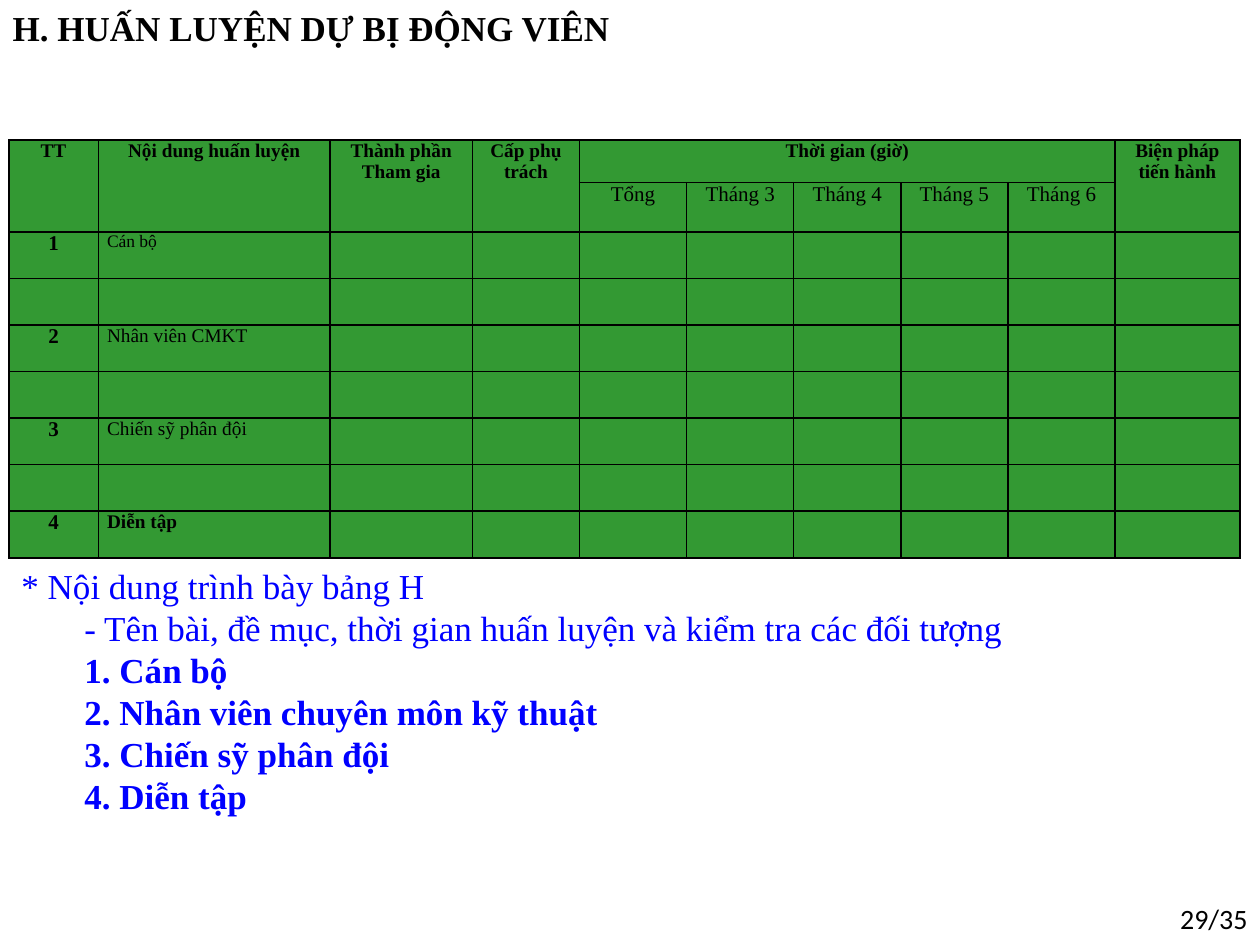
from dataclasses import dataclass
from pptx import Presentation, util as u
from pptx.dml.color import RGBColor
from pptx.enum import text
from pptx.oxml import parse_xml
from pptx.oxml.ns import nsdecls

MID = text.PP_ALIGN.CENTER
LEFT = text.PP_ALIGN.LEFT
RIGHT = text.PP_ALIGN.RIGHT


@dataclass
class Theme:
    serif: str = "Times New Roman"
    sans: str = "Calibri"
    ink: str = "000000"
    blue: str = "0000FF"
    green: str = "339933"
    big: int = 20
    page: int = 16
    mark: int = 12
    cell: int = 11
    small: int = 10


class Deck:
    def __init__(self, theme):
        self.theme = theme
        self.prs = Presentation()
        self.prs.slide_width = u.Inches(10)
        self.prs.slide_height = u.Inches(7.5)
        self.slide = self.prs.slides.add_slide(self.prs.slide_layouts[1])

    def place(self, shape, box):
        for key, val in zip(("left", "top", "width", "height"), box):
            setattr(shape, key, u.Inches(val))

    def frame(self, shape, grow=True):
        fit = text.MSO_AUTO_SIZE
        look = {"word_wrap": True, "vertical_anchor": text.MSO_ANCHOR.TOP,
                "auto_size": fit.SHAPE_TO_FIT_TEXT if grow else fit.NONE}
        for key, val in look.items():
            setattr(shape.text_frame, key, val)
        return shape.text_frame

    def style(self, para, words, size, bold=False, color=None, face=None, align=LEFT):
        para.alignment = align
        run = para.add_run()
        run.text = words
        look = {"name": face or self.theme.serif, "size": u.Pt(size), "bold": bold}
        for key, val in look.items():
            setattr(run.font, key, val)
        run.font.color.rgb = RGBColor.from_string(color or self.theme.ink)

    def title(self, words, box):
        shape = self.slide.shapes.title
        self.place(shape, box)
        self.style(self.frame(shape).paragraphs[0], words, self.theme.big, True)

    def body(self, lines, box):
        shape = self.slide.placeholders[1]
        self.place(shape, box)
        frame = self.frame(shape)
        for num, (words, inset, bold) in enumerate(lines):
            para = frame.add_paragraph() if num else frame.paragraphs[0]
            para.space_before = u.Pt(0)
            props = para._p.get_or_add_pPr()
            props.set("marL", str(u.Inches(inset)))
            props.set("indent", "0")
            props.append(parse_xml(f"<a:buNone {nsdecls('a')}/>"))
            self.style(para, words, self.theme.big, bold, self.theme.blue)

    def label(self, words, box):
        shape = self.slide.shapes.add_textbox(*map(u.Inches, box))
        para = self.frame(shape, False).paragraphs[0]
        self.style(para, words, self.theme.page, face=self.theme.sans, align=RIGHT)

    def border(self, cell):
        props = cell._tc.get_or_add_tcPr()
        for side in "LRTB":
            props.append(parse_xml(
                f'<a:ln{side} {nsdecls("a")} w="{u.Pt(1)}"><a:solidFill>'
                f'<a:srgbClr val="{self.theme.ink}"/></a:solidFill></a:ln{side}>'))

    def table(self, box, cols, rows, spans, cells):
        shape = self.slide.shapes.add_table(
            len(rows), len(cols), *map(u.Inches, box))
        grid = shape.table
        grid.first_row = grid.horz_banding = False
        for col, width in zip(grid.columns, cols):
            col.width = u.Inches(width)
        for row, height in zip(grid.rows, rows):
            row.height = u.Inches(height)
        pads = {"margin_left": 0.07, "margin_right": 0.07,
                "margin_top": 0, "margin_bottom": 0}
        for cell in grid.iter_cells():
            for key, val in pads.items():
                setattr(cell, key, u.Inches(val))
            self.border(cell)
            cell.fill.solid()
            cell.fill.fore_color.rgb = RGBColor.from_string(self.theme.green)
        for start, end in spans:
            grid.cell(*start).merge(grid.cell(*end))
        for row, col, words, size, bold, align in cells:
            frame = grid.cell(row, col).text_frame
            for num, line in enumerate(words.split("\n")):
                para = frame.add_paragraph() if num else frame.paragraphs[0]
                self.style(para, line, size, bold, align=align)


def main():
    theme = Theme()
    deck = Deck(theme)
    deck.title("H. HUẤN LUYỆN DỰ BỊ ĐỘNG VIÊN", (0, 0, 9.92, 0.44))
    deck.body([
        ("* Nội dung trình bày bảng H", 0, False),
        ("- Tên bài, đề mục, thời gian huấn luyện và kiểm tra các đối tượng", 0.5, False),
        ("1. Cán bộ", 0.5, True),
        ("2. Nhân viên chuyên môn kỹ thuật", 0.5, True),
        ("3. Chiến sỹ phân đội", 0.5, True),
        ("4. Diễn tập", 0.5, True),
    ], (0.07, 4.43, 9.76, 2.12))

    heads = {0: "TT", 1: "Nội dung huấn luyện", 2: "Thành phần\nTham gia",
             3: "Cấp phụ trách", 4: "Thời gian (giờ)", 9: "Biện pháp tiến hành"}
    times = ["Tổng"] + [f"Tháng {num}" for num in range(3, 7)]
    groups = [("Cán bộ", theme.small, False), ("Nhân viên CMKT", theme.cell, False),
              ("Chiến sỹ phân đội", theme.cell, False), ("Diễn tập", theme.cell, True)]
    cells = [(0, col, words, theme.cell, True, MID) for col, words in heads.items()]
    cells += [(1, col, words, theme.mark, False, MID)
              for col, words in enumerate(times, 4)]
    for num, (words, size, bold) in enumerate(groups, 1):
        cells += [(2 * num, 0, str(num), theme.mark, True, MID),
                  (2 * num, 1, words, size, bold, LEFT)]
    spans = [((0, col), (1, col)) for col in heads if col != 4]
    spans.append(((0, 4), (0, 8)))
    deck.table((0.07, 1.11, 9.76, 3.31),
               [0.71, 1.84, 1.13] + [0.85] * 6 + [0.99],
               [0.34, 0.39] + [0.37] * 7, spans, cells)

    deck.label("29/35", (9, 7.11, 1, 0.4))
    deck.prs.save("out.pptx")


if __name__ == "__main__":
    main()
